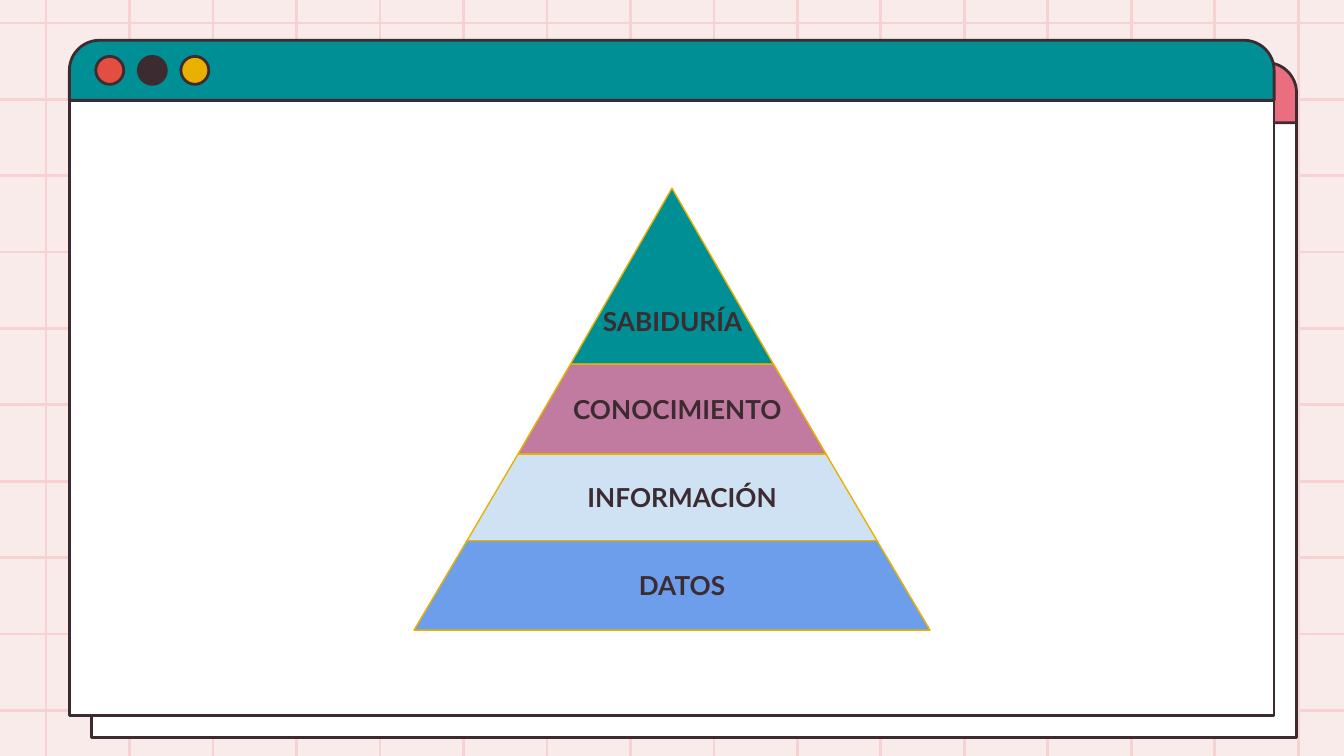
from dataclasses import dataclass

from lxml import etree
from pptx import Presentation
from pptx.dml.color import RGBColor
from pptx.enum.shapes import MSO_CONNECTOR, MSO_SHAPE
from pptx.enum.text import MSO_ANCHOR, PP_ALIGN
from pptx.oxml.ns import qn
from pptx.shapes.autoshape import Shape
from pptx.slide import Slide
from pptx.util import Pt

STRAIGHT = MSO_CONNECTOR.STRAIGHT
RECTANGLE = MSO_SHAPE.RECTANGLE
ROUNDED_TOP = MSO_SHAPE.ROUND_2_SAME_RECTANGLE
OVAL = MSO_SHAPE.OVAL
TRAPEZOID = MSO_SHAPE.TRAPEZOID
CENTER = PP_ALIGN.CENTER
TOP = MSO_ANCHOR.TOP
BLANK_LAYOUT = 6


@dataclass(frozen=True)
class Theme:
    background: str = "FAEBEB"
    grid: str = "F8D2D2"
    ink: str = "3C2C31"
    white: str = "FFFFFF"
    teal: str = "008F95"
    pink: str = "EB6E80"
    red: str = "E24E42"
    yellow: str = "E9B000"
    mauve: str = "C27BA0"
    pale_blue: str = "CFE2F3"
    blue: str = "6D9EEB"
    font: str = "Lato"
    label_size: float = 14
    window_line: float = 1.5
    tier_line: float = 0.75


@dataclass(frozen=True)
class Box:
    left: float
    top: float
    width: float
    height: float


@dataclass(frozen=True)
class Window:
    left: float
    top: float
    header_color: str


@dataclass(frozen=True)
class Tier:
    text: str
    color: str
    base_width: float
    height: float
    label_left: float
    label_width: float


THEME = Theme()
SLIDE_WIDTH, SLIDE_HEIGHT = 720, 405
GRID_LEFT, GRID_COLUMN_STEP, GRID_COLUMNS = 24.7, 44.72, 16
GRID_TOP, GRID_ROW_STEP, GRID_ROWS = 12.3, 40.92, 10
WINDOW_WIDTH, HEADER_HEIGHT, BODY_HEIGHT = 645.4, 32.2, 329.5
DOT_SIZE, DOT_STEP, DOT_LEFT, DOT_TOP = 15, 22.8, 14.1, 8.6
PYRAMID_CENTER, PYRAMID_TOP = 360, 100.8
LABEL_TOP, LABEL_STEP, LABEL_HEIGHT = 156.2, 47.2, 31.5

WINDOWS = (
    Window(49.2, 33.6, THEME.pink),
    Window(37.2, 21.6, THEME.teal),
)
TIERS = (
    Tier("SABIDURÍA", THEME.teal, 108.8, 94.3, 303.1, 114.5),
    Tier("CONOCIMIENTO", THEME.mauve, 165, 48.2, 298.8, 128.2),
    Tier("INFORMACIÓN", THEME.pale_blue, 219.7, 46.4, 304.6, 121.7),
    Tier("DATOS", THEME.blue, 276.4, 47.9, 311, 108.7),
)


def draw_shape(slide: Slide, preset: MSO_SHAPE, box: Box, fill: str,
               line: str, line_width: float) -> Shape:
    shape = slide.shapes.add_shape(
        preset, Pt(box.left), Pt(box.top), Pt(box.width), Pt(box.height))
    shape.shadow.inherit = False
    shape.fill.solid()
    shape.fill.fore_color.rgb = RGBColor.from_string(fill)
    shape.line.color.rgb = RGBColor.from_string(line)
    shape.line.width = Pt(line_width)
    return shape


def draw_text(slide: Slide, text: str, box: Box, *, size: float, color: str,
              bold: bool = False, alignment: PP_ALIGN = CENTER) -> None:
    shape = slide.shapes.add_textbox(
        Pt(box.left), Pt(box.top), Pt(box.width), Pt(box.height))
    frame = shape.text_frame
    frame.word_wrap = True
    frame.vertical_anchor = TOP
    frame.margin_left = frame.margin_right = Pt(7.2)
    frame.margin_top = frame.margin_bottom = Pt(7.2)
    paragraph = frame.paragraphs[0]
    paragraph.alignment = alignment
    run = paragraph.add_run()
    run.text = text
    run.font.name = THEME.font
    run.font.size = Pt(size)
    run.font.bold = bold
    run.font.color.rgb = RGBColor.from_string(color)


def draw_grid_line(slide: Slide, start: tuple[float, float],
                   end: tuple[float, float]) -> None:
    connector = slide.shapes.add_connector(
        STRAIGHT, Pt(start[0]), Pt(start[1]), Pt(end[0]), Pt(end[1]))
    connector.line.color.rgb = RGBColor.from_string(THEME.grid)
    connector.line.width = Pt(THEME.window_line)
    etree.SubElement(connector._element.spPr, qn("a:effectLst"))


def draw_grid(slide: Slide) -> None:
    for column in range(GRID_COLUMNS):
        x = GRID_LEFT + column * GRID_COLUMN_STEP
        draw_grid_line(slide, (x, 0), (x, SLIDE_HEIGHT))
    for row in range(GRID_ROWS):
        y = GRID_TOP + row * GRID_ROW_STEP
        draw_grid_line(slide, (0, y), (SLIDE_WIDTH, y))


def draw_window(slide: Slide, window: Window) -> None:
    outline = {"line": THEME.ink, "line_width": THEME.window_line}
    body = Box(window.left, window.top + HEADER_HEIGHT, WINDOW_WIDTH, BODY_HEIGHT)
    draw_shape(slide, RECTANGLE, body, THEME.white, **outline)
    header_box = Box(window.left, window.top, WINDOW_WIDTH, HEADER_HEIGHT)
    header = draw_shape(slide, ROUNDED_TOP, header_box, window.header_color, **outline)
    header.adjustments[0] = 0.5
    for index, color in enumerate((THEME.red, THEME.ink, THEME.yellow)):
        dot = Box(window.left + DOT_LEFT + index * DOT_STEP,
                  window.top + DOT_TOP, DOT_SIZE, DOT_SIZE)
        draw_shape(slide, OVAL, dot, color, **outline)


def draw_pyramid(slide: Slide) -> None:
    top, upper_width = PYRAMID_TOP, 0
    for index, tier in enumerate(TIERS):
        box = Box(PYRAMID_CENTER - tier.base_width / 2, top,
                  tier.base_width, tier.height)
        shape = draw_shape(slide, TRAPEZOID, box, tier.color,
                           THEME.yellow, THEME.tier_line)
        shape.adjustments[0] = (tier.base_width - upper_width) / 2 / tier.height
        label = Box(tier.label_left, LABEL_TOP + index * LABEL_STEP,
                    tier.label_width, LABEL_HEIGHT)
        draw_text(slide, tier.text, label, size=THEME.label_size,
                  color=THEME.ink, bold=True)
        top += tier.height
        upper_width = tier.base_width


def main() -> None:
    presentation = Presentation()
    presentation.slide_width = Pt(SLIDE_WIDTH)
    presentation.slide_height = Pt(SLIDE_HEIGHT)
    slide = presentation.slides.add_slide(presentation.slide_layouts[BLANK_LAYOUT])
    slide.background.fill.solid()
    slide.background.fill.fore_color.rgb = RGBColor.from_string(THEME.background)
    draw_grid(slide)
    for window in WINDOWS:
        draw_window(slide, window)
    draw_pyramid(slide)
    presentation.save("out.pptx")


if __name__ == "__main__":
    main()
